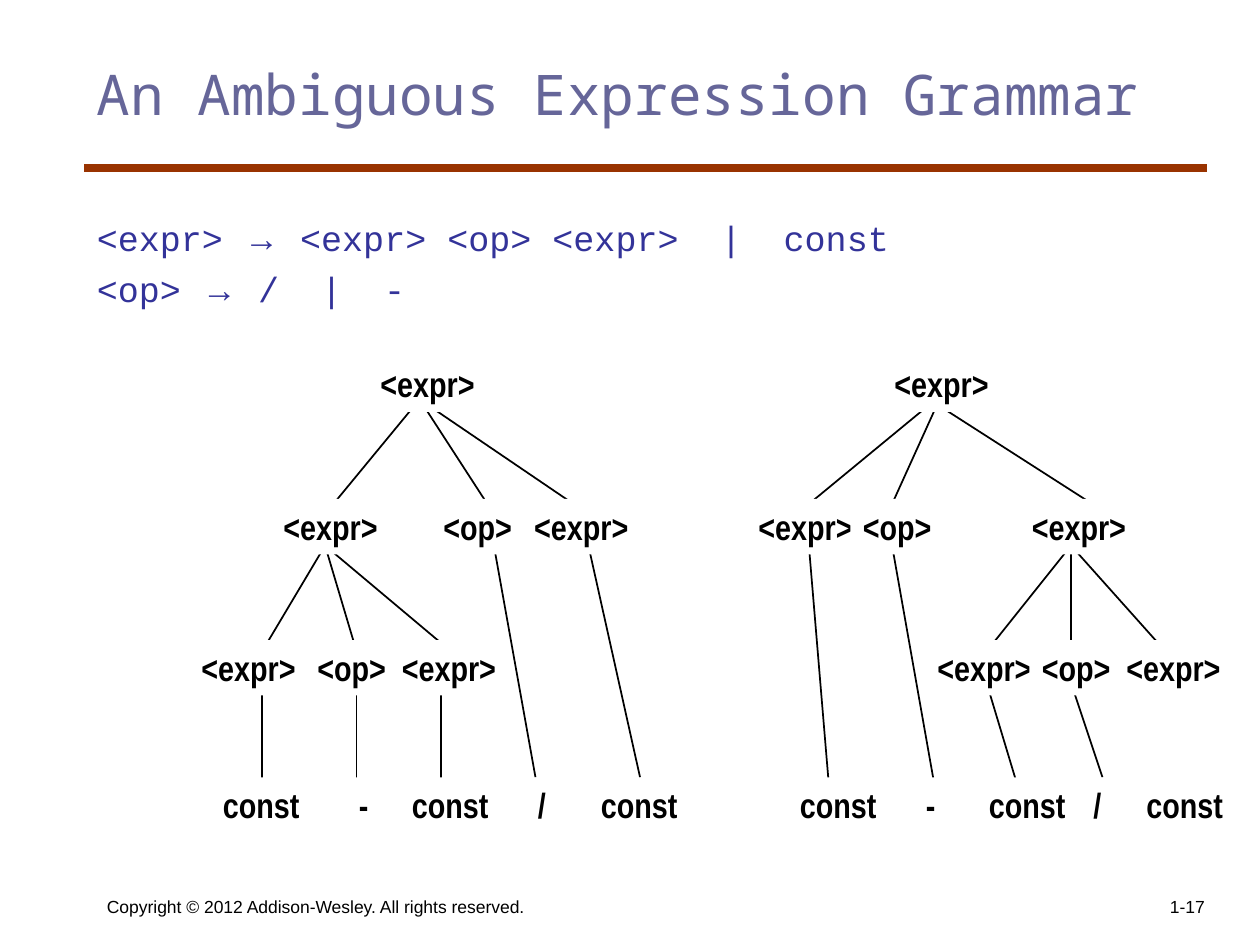
from dataclasses import dataclass

from lxml import etree
from pptx import Presentation
from pptx.dml.color import RGBColor
from pptx.enum import shapes, text
from pptx.oxml import ns
from pptx.util import Inches, Pt


@dataclass(frozen=True)
class Theme:
    title: RGBColor = RGBColor(0x66, 0x66, 0x99)
    grammar: RGBColor = RGBColor(0x33, 0x33, 0x99)
    rule: RGBColor = RGBColor(0x99, 0x33, 0x00)
    ink: RGBColor = RGBColor(0, 0, 0)
    paper: RGBColor = RGBColor(0xFF, 0xFF, 0xFF)
    title_size: Pt = Pt(32)
    body_size: Pt = Pt(20)
    footer_size: Pt = Pt(10)


theme = Theme()
prs = Presentation()
prs.slide_width, prs.slide_height = Inches(10), Inches(7.5)
s = prs.slides.add_slide(prs.slide_layouts[6])


def add_line(x1, y1, x2, y2, color, width):
    line = s.shapes.add_connector(
        shapes.MSO_CONNECTOR.STRAIGHT, Inches(x1), Inches(y1), Inches(x2), Inches(y2))
    line.line.color.rgb = color
    line.line.width = Pt(width)
    etree.SubElement(line._element.spPr, ns.qn("a:effectLst"))


def add_text(box, words, font, size, color):
    """Add a text box at (left, top, width, height); return its frame and paragraph."""
    tf = s.shapes.add_textbox(*map(Inches, box)).text_frame
    tf.word_wrap = True
    p = tf.paragraphs[0]
    p.text = words
    p.font.name, p.font.size, p.font.color.rgb = font, size, color
    return tf, p


# Title, rule and footer
add_line(0.67, 1.33, 9.58, 1.33, theme.rule, 4.5)
add_text((0.67, 0.42, 8.92, 1.25), "An Ambiguous Expression Grammar",
         "Noto Sans Mono", theme.title_size, theme.title)
for left, width, words, align in [
    (0.75, 4.58, "Copyright © 2012 Addison-Wesley. All rights reserved.", text.PP_ALIGN.LEFT),
    (7.58, 2.08, "1-17", text.PP_ALIGN.RIGHT),
]:
    tf, p = add_text((left, 6.83, width, 0.5), words, "Arial", theme.footer_size, theme.ink)
    tf.vertical_anchor = text.MSO_ANCHOR.BOTTOM
    p.alignment = align

# Grammar rules
tf, p = add_text((0.67, 1.67, 8.17, 1), "", "Courier New", theme.body_size, theme.grammar)
productions = [("<expr> ", " <expr> <op> <expr>  |  const"), ("<op> ", " /  |  -")]
for i, (symbol, choices) in enumerate(productions):
    if i:
        p = tf.add_paragraph()
        p.space_before = Pt(5)
    for words, font in [(symbol, "Courier New"), ("→", "Arial"), (choices, "Courier New")]:
        r = p.add_run()
        r.text = words
        r.font.name, r.font.size, r.font.color.rgb = font, theme.body_size, theme.grammar

# Tree branches: parent end, then the ends of its children
branches = [
    (3.33, 3.17, [(2.58, 4.08), (4.67, 4.08), (3.92, 4.08)]),
    (2.58, 4.33, [(2.08, 5.17), (3.58, 5.17), (2.83, 5.17)]),
    (2.08, 5.42, [(2.08, 6.25)]),
    (2.83, 5.42, [(2.83, 6.25)]),
    (3.5, 5.42, [(3.5, 6.25)]),
    (3.92, 4.33, [(4.25, 6.17)]),
    (4.67, 4.33, [(5.08, 6.17)]),
    (7.33, 3.25, [(6.42, 4)]),
    (7.5, 3.25, [(8.67, 4)]),
    (7.42, 3.25, [(7.08, 4)]),
    (8.5, 4.33, [(7.83, 5.17), (9.25, 5.17), (8.5, 5.17)]),
    (6.42, 4.33, [(6.58, 6.25)]),
    (7.08, 4.33, [(7.42, 6.25)]),
    (7.83, 5.42, [(8.08, 6.25)]),
    (8.5, 5.42, [(8.75, 6.17)]),
]
for x, y, children in branches:
    for child_x, child_y in children:
        add_line(x, y, child_x, child_y, theme.ink, 1)

# Tree nodes: label, width, then the left edges on each level
levels = [2.83, 3.96, 5.08, 6.17]
nodes = [
    ("<expr>", 0.95, [[2.92, 7], [2.15, 4.14, 5.92, 8.09], [1.5, 3.09, 7.34, 8.84], []]),
    ("<op>", 0.76, [[], [3.42, 6.75], [2.42, 8.17], []]),
    ("const", 0.81, [[], [], [], [1.67, 3.17, 4.67, 6.25, 7.75, 9]]),
    ("-", 0.27, [[], [], [], [2.75, 7.25]]),
    ("/", 0.26, [[], [], [], [4.17, 8.58]]),
]
side_inset = Inches(0.1)
for label, width, rows in nodes:
    for top, lefts in zip(levels, rows):
        for left in lefts:
            sp = s.shapes.add_shape(shapes.MSO_SHAPE.RECTANGLE, Inches(left), Inches(top),
                                    Inches(width), Inches(0.44))
            sp.shadow.inherit = False
            sp.fill.solid()
            sp.fill.fore_color.rgb = theme.paper
            sp.line.fill.background()
            tf = sp.text_frame
            tf.word_wrap = False
            tf.auto_size = text.MSO_AUTO_SIZE.SHAPE_TO_FIT_TEXT
            tf.vertical_anchor = text.MSO_ANCHOR.TOP
            tf.margin_left = side_inset
            tf.margin_right = side_inset // 2  # slack that keeps each label on one line
            p = tf.paragraphs[0]
            p.text = label
            p.alignment = text.PP_ALIGN.LEFT
            p.font.name, p.font.size, p.font.bold = "Arial Narrow", theme.body_size, True
            p.font.color.rgb = theme.ink

prs.save("out.pptx")
